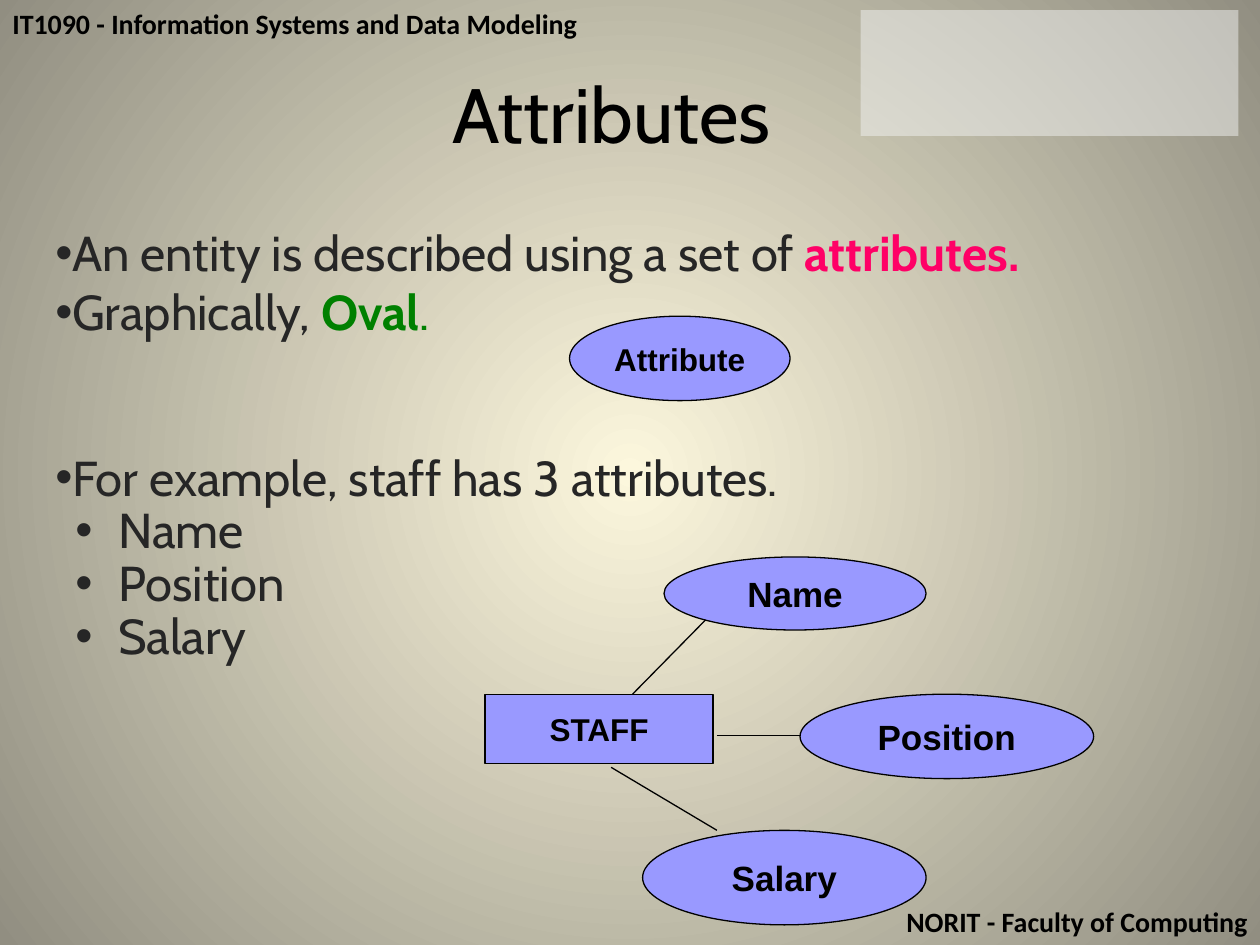
from lxml import etree
from pptx import Presentation
from pptx.dml import color
from pptx.enum import shapes, text
from pptx.oxml import ns
from pptx.util import Inches, Pt

INK = "000000"
BODY = "262626"
LILAC = "9999FF"
OVAL = shapes.MSO_SHAPE.OVAL
BOX = shapes.MSO_SHAPE.RECTANGLE
CENTER = text.PP_ALIGN.CENTER


def rgb(value):
    return color.RGBColor.from_string(value)


def sub(parent, tag, **attributes):
    return etree.SubElement(parent, ns.qn(tag), **attributes)


def write(paragraph, words, size=16, font="Calibri", ink=INK, bold=False, align=None):
    run = paragraph.add_run()
    run.text = words
    run.font.size = Pt(size)
    run.font.name = font
    run.font.bold = bold
    run.font.color.rgb = rgb(ink)
    if align is not None:
        paragraph.alignment = align


class Deck:
    def __init__(self):
        self.show = Presentation()
        self.show.slide_width = Inches(10)
        self.show.slide_height = Inches(7.5)
        self.slide = self.show.slides.add_slide(self.show.slide_layouts[6])

    def background(self, inner, outer):
        fill = self.slide.background.fill
        fill.gradient()
        for stop, tone in zip(fill.gradient_stops, (inner, outer)):
            stop.color.rgb = rgb(tone)
        gradient = self.slide.element.find(".//" + ns.qn("a:gradFill"))
        gradient.remove(gradient.find(ns.qn("a:lin")))
        circle = etree.Element(ns.qn("a:path"))
        circle.set("path", "circle")
        center = dict.fromkeys("ltrb", "50000")
        sub(circle, "a:fillToRect", **center)
        gradient.find(ns.qn("a:gsLst")).addnext(circle)

    def frame(self, left, top, width, height):
        area = self.slide.shapes.add_textbox(
            Inches(left), Inches(top), Inches(width), Inches(height))
        area.text_frame.word_wrap = True
        return area.text_frame

    def label(self, bounds, words, **style):
        write(self.frame(*bounds).paragraphs[0], words, **style)

    def bullets(self, bounds, items):
        frame = self.frame(*bounds)
        for index, (pieces, level, before) in enumerate(items):
            paragraph = frame.paragraphs[0] if index == 0 else frame.add_paragraph()
            paragraph.level = level
            paragraph.space_before = Pt(before)
            paragraph.line_spacing = 0.9 if level else 1.0
            margin, hanging = (0.5, 0.34) if level else (0.13, 0.13)
            properties = paragraph._p.get_or_add_pPr()
            properties.set("marL", str(Inches(margin)))
            properties.set("indent", str(-Inches(hanging)))
            sub(properties, "a:buFont", typeface="Arial")
            sub(properties, "a:buChar", char="•")
            for words, ink, bold in pieces:
                write(paragraph, words, size=28, font="Cabin", ink=ink, bold=bold)

    def shape(self, kind, bounds, fill, line=INK):
        item = self.slide.shapes.add_shape(kind, *map(Inches, bounds))
        item.shadow.inherit = False
        item.fill.solid()
        item.fill.fore_color.rgb = rgb(fill)
        if line:
            item.line.color.rgb = rgb(line)
            item.line.width = Pt(0.75)
        else:
            item.line.fill.background()
        return item

    def node(self, kind, bounds, words, size):
        frame = self.shape(kind, bounds, LILAC).text_frame
        frame.word_wrap = False
        frame.vertical_anchor = text.MSO_ANCHOR.MIDDLE
        write(frame.paragraphs[0], words, size=size, font="Arial", bold=True, align=CENTER)

    def panel(self, bounds, fill, opacity):
        item = self.shape(BOX, bounds, fill, line=None)
        tone = item.fill._xPr.find(".//" + ns.qn("a:srgbClr"))
        sub(tone, "a:alpha", val=str(opacity * 1000))

    def link(self, start, end):
        line = self.slide.shapes.add_connector(
            shapes.MSO_CONNECTOR.STRAIGHT, *map(Inches, start + end))
        line.line.color.rgb = rgb(INK)
        line.line.width = Pt(0.75)
        sub(line._element.spPr, "a:effectLst")


def main():
    deck = Deck()
    deck.background("FCF7DD", "918E81")
    deck.label((0, 0, 10, 0.37), "IT1090 - Information Systems and Data Modeling", bold=True)
    deck.label((0, 7.13, 10, 0.37), "NORIT - Faculty of Computing", bold=True,
               align=text.PP_ALIGN.RIGHT)
    deck.panel((6.83, 0.08, 3, 1), "F2F2F2", 50)
    deck.label((1.37, 0.48, 6.97, 1.19), "Attributes", size=44, font="Cabin", align=CENTER)

    points = [
        ([("An entity is described using a set of ", BODY, False),
          ("attributes.", "FF0066", True)], 0, 0),
        ([("Graphically, ", BODY, False), ("Oval", "008000", True),
          (".", "008000", False)], 0, 0),
        ([("For example, staff has 3 attributes.", BODY, False)], 0, 61),
    ]
    attributes = {
        "Name": (5.27, 4.42, 2.08, 0.58),
        "Position": (6.35, 5.51, 2.33, 0.67),
        "Salary": (5.1, 6.59, 2.25, 0.75),
    }
    points += [([(name, BODY, False)], 1, 0) for name in attributes]
    deck.bullets((0.34, 1.72, 9.52, 5.1), points)

    deck.node(OVAL, (4.52, 2.51, 1.75, 0.67), "Attribute", 18)
    deck.node(BOX, (3.85, 5.51, 1.81, 0.55), "STAFF", 18)
    for name, bounds in attributes.items():
        deck.node(OVAL, bounds, name, 20)
    for start, end in (
        ((5.6, 4.92), (5.02, 5.51)),
        ((5.69, 5.84), (6.35, 5.84)),
        ((4.85, 6.09), (5.69, 6.59)),
    ):
        deck.link(start, end)
    deck.show.save("out.pptx")


if __name__ == "__main__":
    main()
